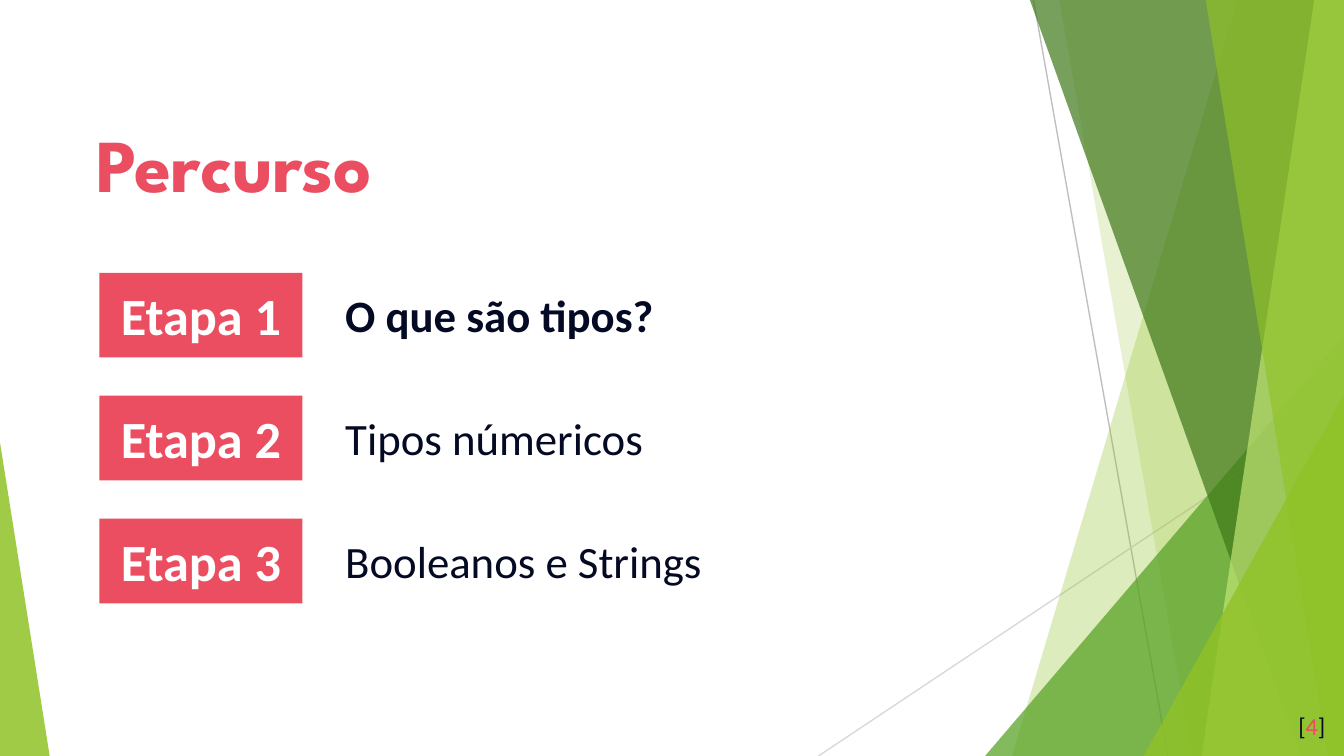
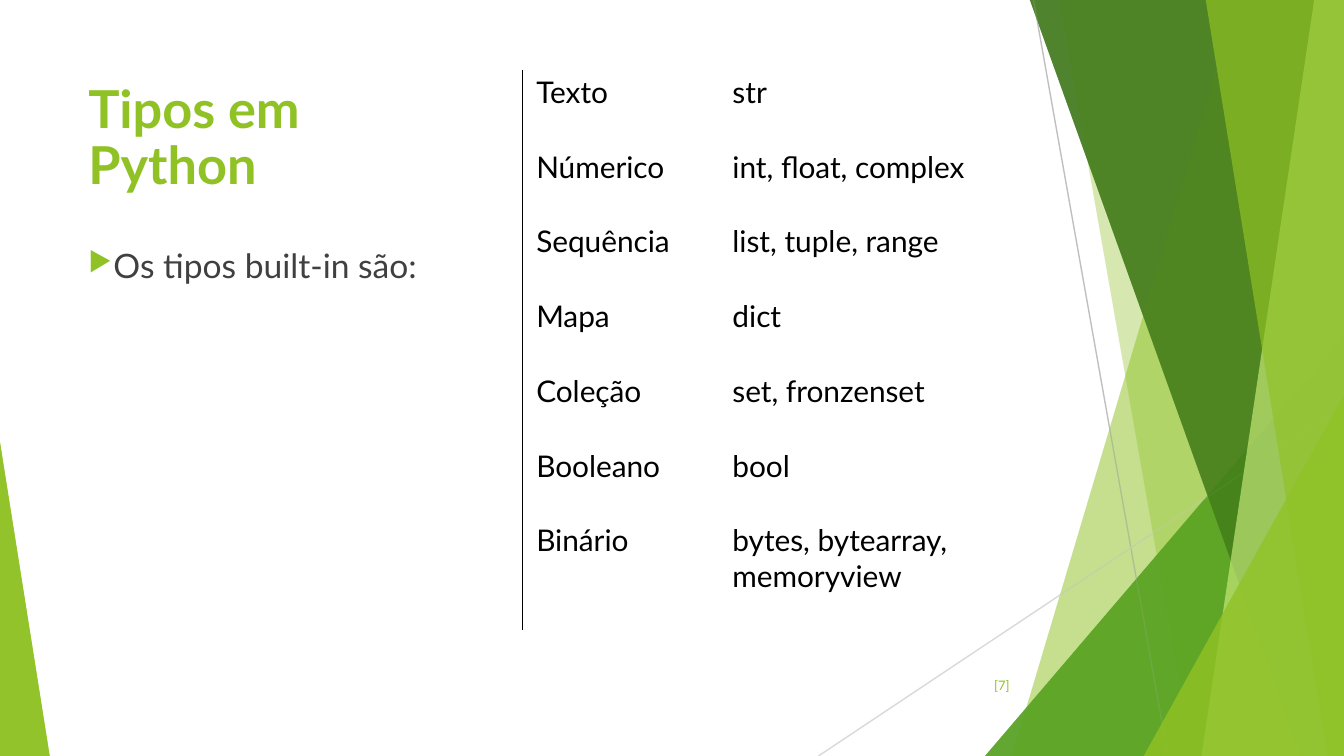
from lxml import etree
from pptx import Presentation
from pptx.dml.color import RGBColor
from pptx.enum.shapes import MSO_CONNECTOR, MSO_SHAPE
from pptx.enum.text import MSO_ANCHOR, PP_ALIGN
from pptx.oxml import parse_xml
from pptx.oxml.ns import nsdecls, qn
from pptx.util import Inches, Pt

STRAIGHT = MSO_CONNECTOR.STRAIGHT
RECTANGLE, TRIANGLE = MSO_SHAPE.RECTANGLE, MSO_SHAPE.ISOSCELES_TRIANGLE
TOP, MIDDLE = MSO_ANCHOR.TOP, MSO_ANCHOR.MIDDLE
LEFT, CENTER, RIGHT = PP_ALIGN.LEFT, PP_ALIGN.CENTER, PP_ALIGN.RIGHT

LIME = RGBColor(0x90, 0xC2, 0x26)
PALE_LIME = RGBColor(0xC0, 0xE4, 0x74)
GREEN = RGBColor(0x54, 0xA0, 0x21)
DARK_GREEN = RGBColor(0x3F, 0x78, 0x19)
LIGHT_GRAY = RGBColor(0xD9, 0xD9, 0xD9)
GRAY = RGBColor(0xBF, 0xBF, 0xBF)
CORAL = RGBColor(0xEA, 0x4E, 0x60)
NAVY = RGBColor(0x04, 0x0A, 0x24)
CHARCOAL = RGBColor(0x40, 0x40, 0x40)
BLACK = RGBColor(0, 0, 0)
WHITE = RGBColor(0xFF, 0xFF, 0xFF)

WIDTH = 10
HEIGHT = WIDTH * 9 / 16
BAND_TOP = -0.01
NO_GRID_STYLE = "{2D5ABB26-0587-4C30-8999-92F81FD0307C}"

# Start, end, colour
THIN_LINES = [
    ((7.69, 0), (8.69, HEIGHT), GRAY),
    ((WIDTH, 3.02), (6.09, HEIGHT), LIGHT_GRAY),
]
# Bands: left edge at the top, left edge at the bottom, colour, opacity
# Triangles: left, top, position of the tip, width, colour, opacity
FACETS = [
    ("band", (9.21, 7.53), LIME, 30),
    ("band", (7.88, 8.87), LIME, 20),
    ("triangle", (7.33, 2.5, 2.67, 1), GREEN, 72),
    ("band", (7.66, 9.68), DARK_GREEN, 70),
    ("band", (9.78, 8.94), PALE_LIME, 70),
    ("band", (8.97, 9.88), LIME, 65),
    ("triangle", (8.51, 2.94, 1.49, 1), LIME, 80),
    ("triangle", (0, 3.29, 0.37, 0), LIME, 85),
]


def add_facets(slide):
    """Draw one layer of the translucent green facets."""
    for kind, geometry, color, opacity in FACETS:
        if kind == "band":
            top_x, bottom_x = geometry
            builder = slide.shapes.build_freeform(Inches(top_x), Inches(BAND_TOP))
            corners = [(WIDTH, BAND_TOP), (WIDTH, HEIGHT), (bottom_x, HEIGHT)]
            builder.add_line_segments([(Inches(x), Inches(y)) for x, y in corners])
            shape = builder.convert_to_shape()
        else:
            left, top, width, tip = geometry
            shape = slide.shapes.add_shape(
                TRIANGLE, Inches(left), Inches(top), Inches(width), Inches(HEIGHT - top))
            shape.adjustments[0] = tip
        shape.shadow.inherit = False
        shape.line.fill.background()
        shape.fill.solid()
        shape.fill.fore_color.rgb = color
        color_element = shape._element.spPr.find(".//" + qn("a:srgbClr"))
        etree.SubElement(color_element, qn("a:alpha"), val=str(opacity * 1000))


def write_text(shape, runs, font, size, bold=False, align=LEFT, anchor=TOP, inset=0.05):
    """Fill a shape with one paragraph of (text, colour) runs and return it."""
    frame = shape.text_frame
    frame.word_wrap = True
    frame.vertical_anchor = anchor
    frame.margin_top = frame.margin_bottom = Inches(inset)
    paragraph = frame.paragraphs[0]
    paragraph.alignment = align
    paragraph.font.name = font
    paragraph.font.size = Pt(size)
    paragraph.font.bold = bold
    for text, color in runs:
        run = paragraph.add_run()
        run.text = text
        run.font.color.rgb = color
    return paragraph


presentation = Presentation()
presentation.slide_width = Inches(WIDTH)
presentation.slide_height = Inches(HEIGHT)
blank = presentation.slide_layouts[6]
stages_slide = presentation.slides.add_slide(blank)
types_slide = presentation.slides.add_slide(blank)

# The second slide has an extra layer of facets beneath the lines
add_facets(types_slide)
for slide in (stages_slide, types_slide):
    for start, end, color in THIN_LINES:
        line = slide.shapes.add_connector(STRAIGHT, *map(Inches, start + end))
        line.line.color.rgb = color
        line.line.width = Pt(0.75)
        etree.SubElement(line._element.spPr, qn("a:effectLst"))
    add_facets(slide)

# Slide 1: the three stages
title = stages_slide.shapes.add_textbox(Inches(0.62), Inches(0.7), Inches(8.1), Inches(0.92))
paragraph = write_text(title, [("Percurso", CORAL)], "League Spartan", 40, True,
                       anchor=MIDDLE, inset=0.1)
paragraph.line_spacing = 1.15

STAGES = ["O que são tipos?", "Tipos númericos", "Booleanos e Strings"]
for index, topic in enumerate(STAGES):
    top = 2.03 + index * 1.83 / 2
    label = stages_slide.shapes.add_shape(
        RECTANGLE, Inches(0.74), Inches(top), Inches(1.51), Inches(0.63))
    label.shadow.inherit = False
    label.fill.solid()
    label.fill.fore_color.rgb = CORAL
    label.line.fill.background()
    write_text(label, [(f"Etapa {index + 1}", WHITE)], "Calibri", 28, True,
               CENTER, MIDDLE, 0.1)
    description = stages_slide.shapes.add_textbox(
        Inches(2.47), Inches(top + 0.06), Inches(6.75), Inches(0.5))
    write_text(description, [(topic, NAVY)], "Calibri", 24, bold=index == 0)

number = stages_slide.shapes.add_textbox(Inches(9.36), Inches(5.19), Inches(0.6), Inches(0.43))
write_text(number, [("[", NAVY), ("4", CORAL), ("]", NAVY)], "Calibri", 13,
           align=RIGHT, inset=0.1)

# Slide 2: built-in types
title = types_slide.shapes.add_textbox(Inches(0.56), Inches(0.5), Inches(3.06), Inches(1.08))
title_paragraph = write_text(title, [("Tipos em Python", LIME)], "Lato", 28, True, anchor=MIDDLE)
number = types_slide.shapes.add_textbox(Inches(7.05), Inches(4.96), Inches(0.56), Inches(0.3))
number_paragraph = write_text(number, [("[7]", LIME)], "Lato", 7, align=RIGHT, anchor=MIDDLE)
for paragraph in (title_paragraph, number_paragraph):
    paragraph.line_spacing = 0.9
    paragraph.space_after = Pt(6)

body = types_slide.shapes.add_textbox(Inches(0.56), Inches(1.77), Inches(3.05), Inches(2.92))
paragraph = write_text(body, [("Os tipos built-in são:", CHARCOAL)], "Lato", 18)
paragraph.space_before = Pt(10)
bullet_parts = [
    f'<a:buClr {nsdecls("a")}><a:srgbClr val="{LIME}"/></a:buClr>',
    f'<a:buSzPct {nsdecls("a")} val="80000"/>',
    f'<a:buChar {nsdecls("a")} char="▶"/>',
]
default_run = paragraph._p.get_or_add_pPr().find(qn("a:defRPr"))
for part in bullet_parts:
    default_run.addprevious(parse_xml(part))

TYPES = [
    ("Texto", "str"),
    ("Númerico", "int, float, complex"),
    ("Sequência", "list, tuple, range"),
    ("Mapa", "dict"),
    ("Coleção", "set, fronzenset"),
    ("Booleano", "bool"),
    ("Binário", "bytes, bytearray, memoryview"),
]
TABLE_HEIGHT, LAST_ROW_HEIGHT = 4.17, 0.83
row_height = (TABLE_HEIGHT - LAST_ROW_HEIGHT) / (len(TYPES) - 1)
table_frame = types_slide.shapes.add_table(
    len(TYPES), 2, Inches(3.89), Inches(0.52), Inches(3.62), Inches(TABLE_HEIGHT))
table = table_frame.table
table.first_row = table.horz_banding = False
table_frame._element.find(".//" + qn("a:tableStyleId")).text = NO_GRID_STYLE
table.columns[0].width = Inches(1.46)
table.columns[1].width = Inches(2.16)

for row_index, names in enumerate(TYPES):
    is_last = row_index == len(TYPES) - 1
    table.rows[row_index].height = Inches(LAST_ROW_HEIGHT if is_last else row_height)
    for column_index, name in enumerate(names):
        cell = table.cell(row_index, column_index)
        cell.margin_left, cell.margin_right = Inches(0.1), Inches(0.14)
        cell.margin_top, cell.margin_bottom = Inches(0.03), Inches(0.21)
        cell.fill.background()
        cell.text = name
        font = cell.text_frame.paragraphs[0].font
        font.name = "Lato"
        font.size = Pt(16)
        font.color.rgb = BLACK
    border = parse_xml(
        f'<a:lnL {nsdecls("a")} w="{Pt(0.75)}"><a:solidFill>'
        f'<a:srgbClr val="{BLACK}"/></a:solidFill></a:lnL>')
    table.cell(row_index, 0)._tc.get_or_add_tcPr().insert(0, border)

presentation.save("out.pptx")
